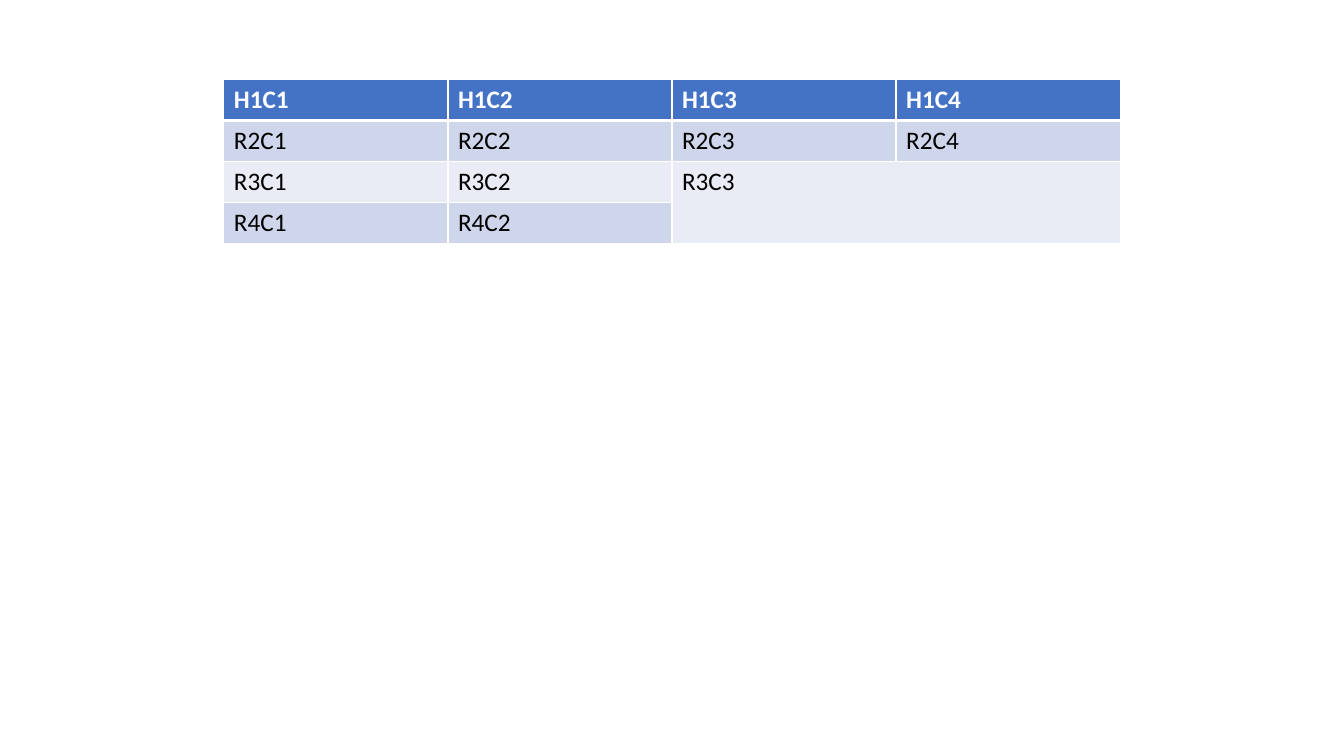
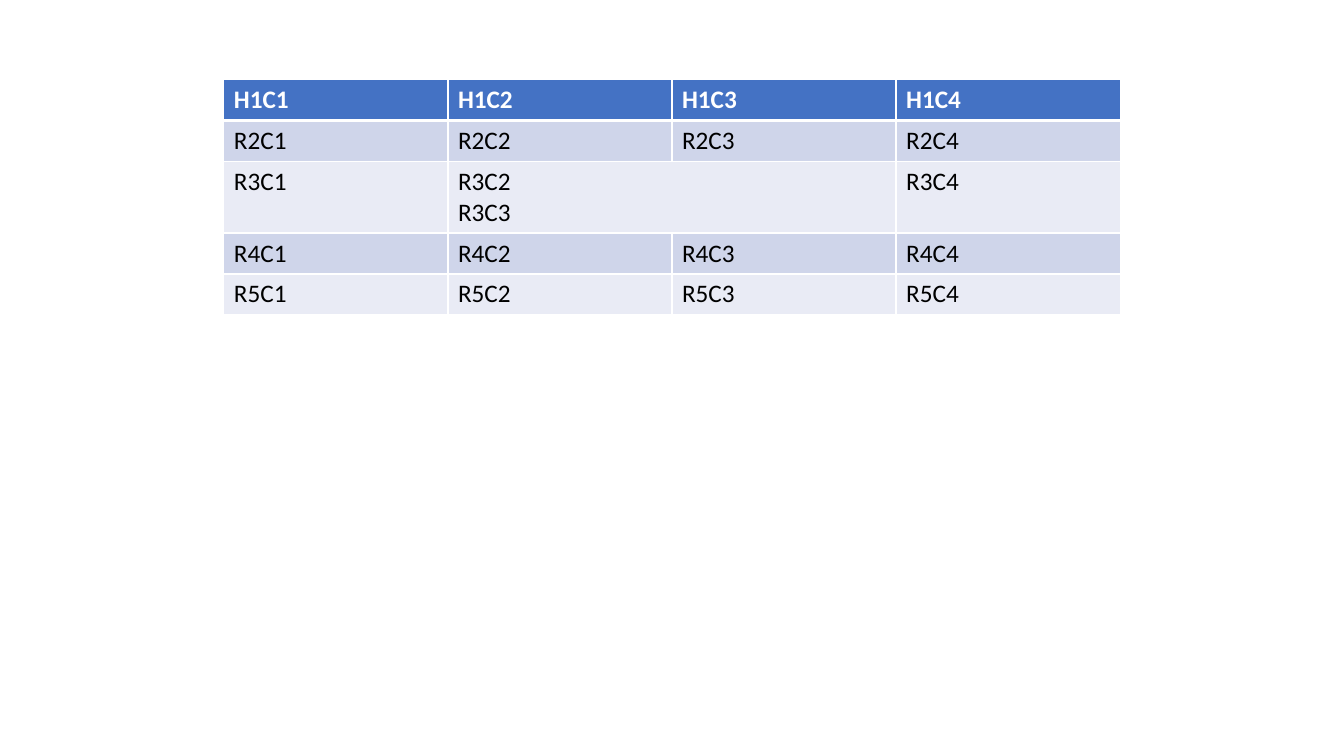
from lxml.etree import SubElement
from pptx import Presentation
from pptx.dml.color import RGBColor
from pptx.oxml.ns import qn
from pptx.util import Inches, Pt

# Shared style
FONT, SIZE = "Calibri", 18
WHITE, BLACK = "FFFFFF", "000000"
HEADER, BANDS = "4472C4", ("CFD5EA", "E9EBF5")
THIN, THICK = 1, 3
LINE_H = 0.3
ROW_H = 1.62 / 4
TABLE_BOX = (2.22, 0.79, 8.89)

# Cell texts; None marks a cell covered by a merged one
HEADS = ["H1C1", "H1C2", "H1C3", "H1C4"]
ROW_2 = ["R2C1", "R2C2", "R2C3", "R2C4"]
BLOCK_MERGE = [
    HEADS,
    ROW_2,
    ["R3C1", "R3C2", "R3C3", None],
    ["R4C1", "R4C2", None, None],
]
ROW_MERGE = [
    HEADS,
    ROW_2,
    ["R3C1", "R3C2\nR3C3", None, "R3C4"],
    ["R4C1", "R4C2", "R4C3", "R4C4"],
    ["R5C1", "R5C2", "R5C3", "R5C4"],
]


def rgb(color):
    return RGBColor.from_string(color)


def set_borders(cell, top, bottom):
    """Draw white cell edges; the lines must precede the fill in the XML."""
    tcPr = cell._tc.get_or_add_tcPr()
    widths = {"a:lnL": THIN, "a:lnR": THIN, "a:lnT": top, "a:lnB": bottom}
    for i, (tag, width) in enumerate(widths.items()):
        ln = SubElement(tcPr, qn(tag), w=str(Pt(width)))
        fill = SubElement(ln, qn("a:solidFill"))
        SubElement(fill, qn("a:srgbClr"), val=WHITE)
        tcPr.insert(i, ln)


def write_cell(cell, text, color, bold):
    tf = cell.text_frame
    for i, line in enumerate(text.split("\n")):
        p = tf.add_paragraph() if i else tf.paragraphs[0]
        r = p.add_run()
        r.text = line
        r.font.name = FONT
        r.font.size = Pt(SIZE)
        r.font.bold = bold
        r.font.color.rgb = rgb(color)


def add_grid(slide, box, rows, merge):
    """Place a banded table; merge holds the first and last (row, column)."""
    left, top, width = box
    n_cols = len(rows[0])
    heights = [ROW_H + LINE_H * max((t or "").count("\n") for t in row)
               for row in rows]
    table = slide.shapes.add_table(
        len(rows), n_cols, Inches(left), Inches(top),
        Inches(width), Inches(sum(heights))).table
    for column in table.columns:
        column.width = Inches(width / n_cols)

    for i, row in enumerate(rows):
        table.rows[i].height = Inches(heights[i])
        head = i == 0
        for j, text in enumerate(row):
            cell = table.cell(i, j)
            cell.fill.solid()
            cell.fill.fore_color.rgb = rgb(HEADER if head else BANDS[(i - 1) % 2])
            set_borders(cell, THICK if i == 1 else THIN, THICK if head else THIN)
            if text:
                write_cell(cell, text, WHITE if head else BLACK, head)

    first, last = merge
    table.cell(*first).merge(table.cell(*last))


def main():
    prs = Presentation()
    prs.slide_width, prs.slide_height = Inches(13.33), Inches(7.5)
    tables = [(BLOCK_MERGE, ((2, 2), (3, 3))), (ROW_MERGE, ((2, 1), (2, 2)))]
    for rows, merge in tables:
        s = prs.slides.add_slide(prs.slide_layouts[6])
        add_grid(s, TABLE_BOX, rows, merge)
    prs.save("out.pptx")


if __name__ == "__main__":
    main()
